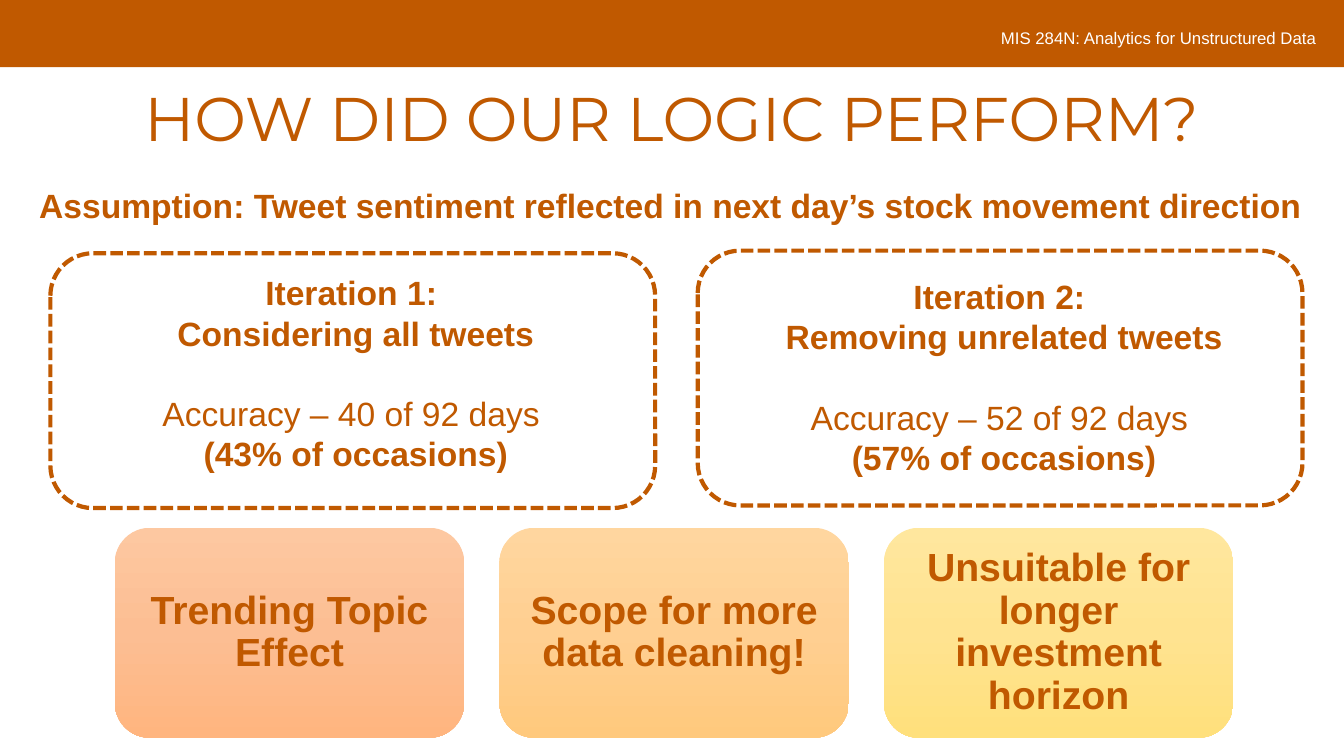
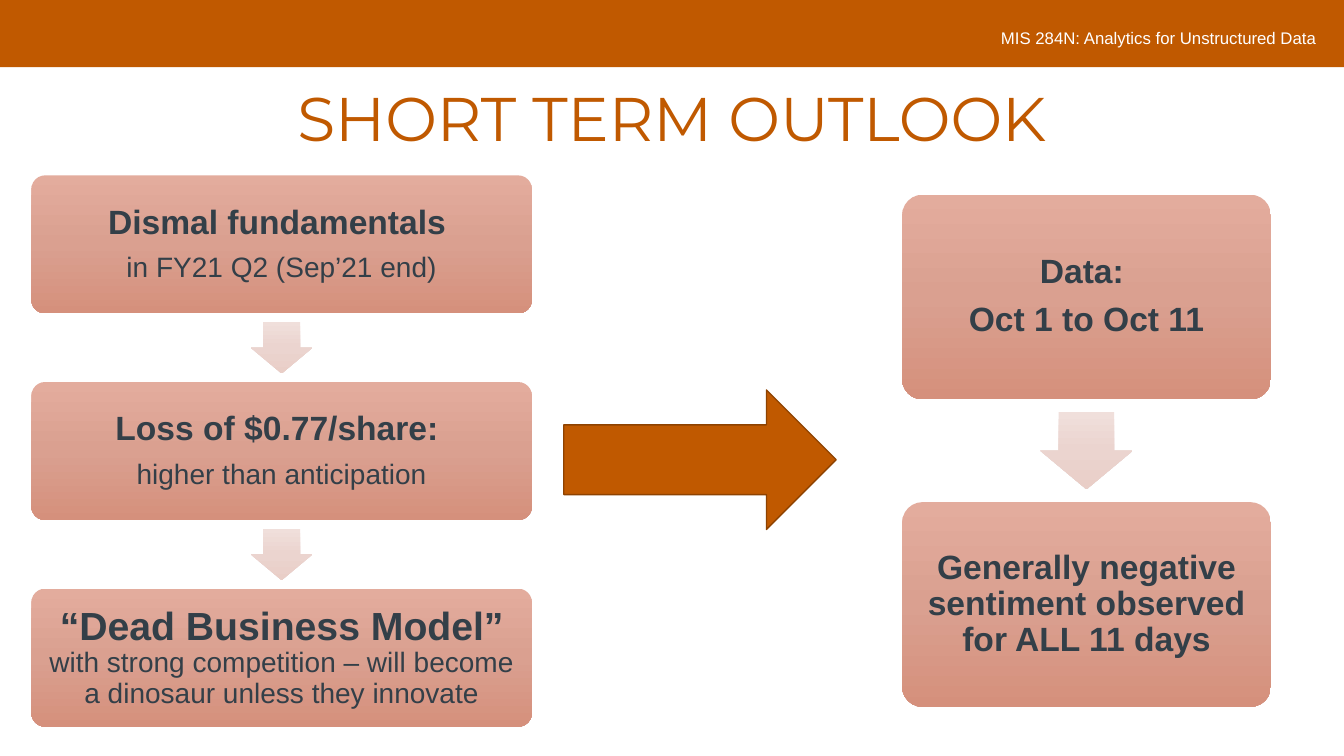
import copy

import pptx
import pptx.dml.color
import pptx.enum.dml
import pptx.enum.shapes
import pptx.enum.text
import pptx.oxml.ns
import pptx.util

Pt = pptx.util.Pt
SHAPES = pptx.enum.shapes.MSO_SHAPE
ALIGN = pptx.enum.text.PP_ALIGN
ANCHOR = pptx.enum.text.MSO_ANCHOR

WIDTH, HEIGHT = 960, 540
COLORS = {"orange": "C05900", "dark orange": "8E4200", "slate": "333F48", "white": "FFFFFF"}
GRADIENTS = {
    "peach": ("FDC8A1", "FCBE93", "FFB57F"),
    "apricot": ("FFD69F", "FFCF91", "FFC97D"),
    "yellow": ("FFE79E", "FFE390", "FFE07C"),
    "clay": ("E3AC9D", "DAA090", "D5907C"),
    "pale clay": ("F0DFDB", "EBD4CF", "E9CEC7"),
}

# Content: each paragraph is a list of (text, size, bold) runs
COURSE = "MIS 284N: Analytics for Unstructured Data"
ASSUMPTION = "Assumption: Tweet sentiment reflected in next day’s stock movement direction"
ITERATIONS = [
    # frame left, frame top, text left, text top, lines
    (36, 180.9, 28.8, 190.8, ("Iteration 1: ", "Considering all tweets",
                              "Accuracy – 40 of 92 days ", "(43% of occasions)")),
    (498.4, 179, 491.8, 193.6, ("Iteration 2: ", "Removing unrelated tweets",
                                "Accuracy – 52 of 92 days ", "(57% of occasions)")),
]
LESSONS = [
    ("Trending Topic Effect", "peach"),
    ("Scope for more data cleaning!", "apricot"),
    ("Unsuitable for longer investment horizon", "yellow"),
]
FLOWS = [
    {"left": 22.4, "top": 125.3, "width": 357.6, "height": 98.6, "gap": 49,
     "cards": [
         [[("Dismal fundamentals ", 24, True)], [("in FY21 Q2 (Sep’21 end)", 20, False)]],
         [[("Loss of $0.77/share: ", 24, True)], [("higher than anticipation", 20, False)]],
         [[("“Dead Business Model”", 28, True),
           (" with strong competition – will become a dinosaur unless they innovate", 20, False)]],
     ]},
    {"left": 644.4, "top": 139.1, "width": 263.4, "height": 146.2, "gap": 73.4,
     "cards": [
         [[("Data: ", 24, True)], [("Oct 1 to Oct 11", 24, True)]],
         [[("Generally negative sentiment observed for ALL 11 days", 24, True)]],
     ]},
]


def rgb(value):
    return pptx.dml.color.RGBColor.from_string(value)


def add_shape(slide, kind, box, fill=None, line=None, line_width=1):
    shape = slide.shapes.add_shape(kind, *map(Pt, box))
    shape.shadow.inherit = False
    if fill in GRADIENTS:
        set_gradient(shape, GRADIENTS[fill])
    elif fill:
        shape.fill.solid()
        shape.fill.fore_color.rgb = rgb(COLORS[fill])
    else:
        shape.fill.background()
    if line:
        shape.line.color.rgb = rgb(COLORS[line])
        shape.line.width = Pt(line_width)
    else:
        shape.line.fill.background()
    return shape


def set_gradient(shape, colors):
    """Fill from top to bottom with three evenly spaced colours."""
    shape.fill.gradient()
    shape.fill.gradient_angle = 270
    stop_list = shape.element.spPr.find(".//" + pptx.oxml.ns.qn("a:gsLst"))
    stop_list.insert(1, copy.deepcopy(stop_list[0]))
    for index, (stop, color) in enumerate(zip(shape.fill.gradient_stops, colors)):
        stop.position = index / 2
        stop.color.rgb = rgb(color)


def write(shape, paragraphs, color, font="Arial", align=ALIGN.CENTER, anchor=ANCHOR.TOP,
          spacing=1.0, after=0.0):
    """Write the runs; after is a share of the paragraph's first text size."""
    frame = shape.text_frame
    frame.word_wrap = True
    frame.vertical_anchor = anchor
    for index, runs in enumerate(paragraphs):
        paragraph = frame.add_paragraph() if index else frame.paragraphs[0]
        paragraph.alignment = align
        paragraph.line_spacing = spacing
        paragraph.space_after = Pt(round(after * runs[0][1], 1))
        paragraph.font.name = font
        paragraph.font.color.rgb = rgb(COLORS[color])
        paragraph.font.size = Pt(runs[0][1])
        paragraph.font.bold = runs[0][2]
        for text, size, bold in runs:
            run = paragraph.add_run()
            run.text = text
            if (size, bold) != runs[0][1:]:
                run.font.size = Pt(size)
                run.font.bold = bold
    return frame


def add_text(slide, box, paragraphs, color, **style):
    return write(slide.shapes.add_textbox(*map(Pt, box)), paragraphs, color, **style)


def add_card(slide, box, paragraphs, fill, color, inset, corner=None):
    card = add_shape(slide, SHAPES.ROUNDED_RECTANGLE, box, fill)
    if corner:
        card.adjustments[0] = corner
    frame = write(card, paragraphs, color, anchor=ANCHOR.MIDDLE, spacing=0.9, after=0.35)
    frame.margin_left = frame.margin_right = Pt(inset)
    frame.margin_top = frame.margin_bottom = Pt(inset)


def add_slide(presentation, title):
    """Blank slide with the shared band, course name and title."""
    slide = presentation.slides.add_slide(presentation.slide_layouts[6])
    add_shape(slide, SHAPES.RECTANGLE, (0, 0, WIDTH, 48), "orange")
    add_text(slide, (0, 59.8, WIDTH, 103.7), [[(title, 44, False)]], "orange",
             font="Montserrat", spacing=0.9)
    course = add_text(slide, (481.7, 0, 465.8, 47.5), [[(COURSE, 12, False)]], "white",
                      align=ALIGN.RIGHT, anchor=ANCHOR.MIDDLE, spacing=1.5)
    course.paragraphs[0].space_before = Pt(10)
    return slide


def add_flow(slide, left, top, width, height, gap, cards):
    """Column of cards with a small arrow centred in each gap."""
    arrow_width, arrow_height = 0.9 * gap, 0.75 * gap
    for index, paragraphs in enumerate(cards):
        card_top = top + index * (height + gap)
        inset = 8.4 if paragraphs[0][0][1] == 28 else 7.2
        add_card(slide, (left, card_top, width, height), paragraphs, "clay", "slate", inset, 0.1)
        if index:
            arrow = add_shape(slide, SHAPES.DOWN_ARROW,
                              (left + (width - arrow_width) / 2,
                               card_top - (gap + arrow_height) / 2,
                               arrow_width, arrow_height), "pale clay")
            arrow.adjustments[0] = 0.6
            arrow.adjustments[1] = 0.5


def build_performance(presentation):
    slide = add_slide(presentation, "HOW DID OUR LOGIC PERFORM?")
    add_text(slide, (14.4, 128.2, 928.8, 36), [[(ASSUMPTION, 24, True)]], "orange")

    # Dashed frames with the result of each iteration
    for left, top, text_left, text_top, lines in ITERATIONS:
        frame = add_shape(slide, SHAPES.ROUNDED_RECTANGLE, (left, top, 432, 182),
                          line="orange", line_width=3)
        frame.line.dash_style = pptx.enum.dml.MSO_LINE.SQUARE_DOT
        paragraphs = [[(line, 24, not line.startswith("Accuracy"))] for line in lines]
        result = add_text(slide, (text_left, text_top, 450.7, 152.6), paragraphs, "orange")
        result.paragraphs[2].space_before = Pt(28.8)

    # Row of lessons
    for index, (text, fill) in enumerate(LESSONS):
        add_card(slide, (82 + index * 274.7, 377, 249.6, 150), [[(text, 28, True)]],
                 fill, "orange", 8.4)


def build_outlook(presentation):
    slide = add_slide(presentation, "SHORT TERM OUTLOOK")
    for flow in FLOWS:
        add_flow(slide, **flow)
    add_shape(slide, SHAPES.RIGHT_ARROW, (402.7, 278.6, 194.6, 99.6), "orange", "dark orange")


def main():
    presentation = pptx.Presentation()
    presentation.slide_width, presentation.slide_height = Pt(WIDTH), Pt(HEIGHT)
    build_performance(presentation)
    build_outlook(presentation)
    presentation.save("out.pptx")


if __name__ == "__main__":
    main()
